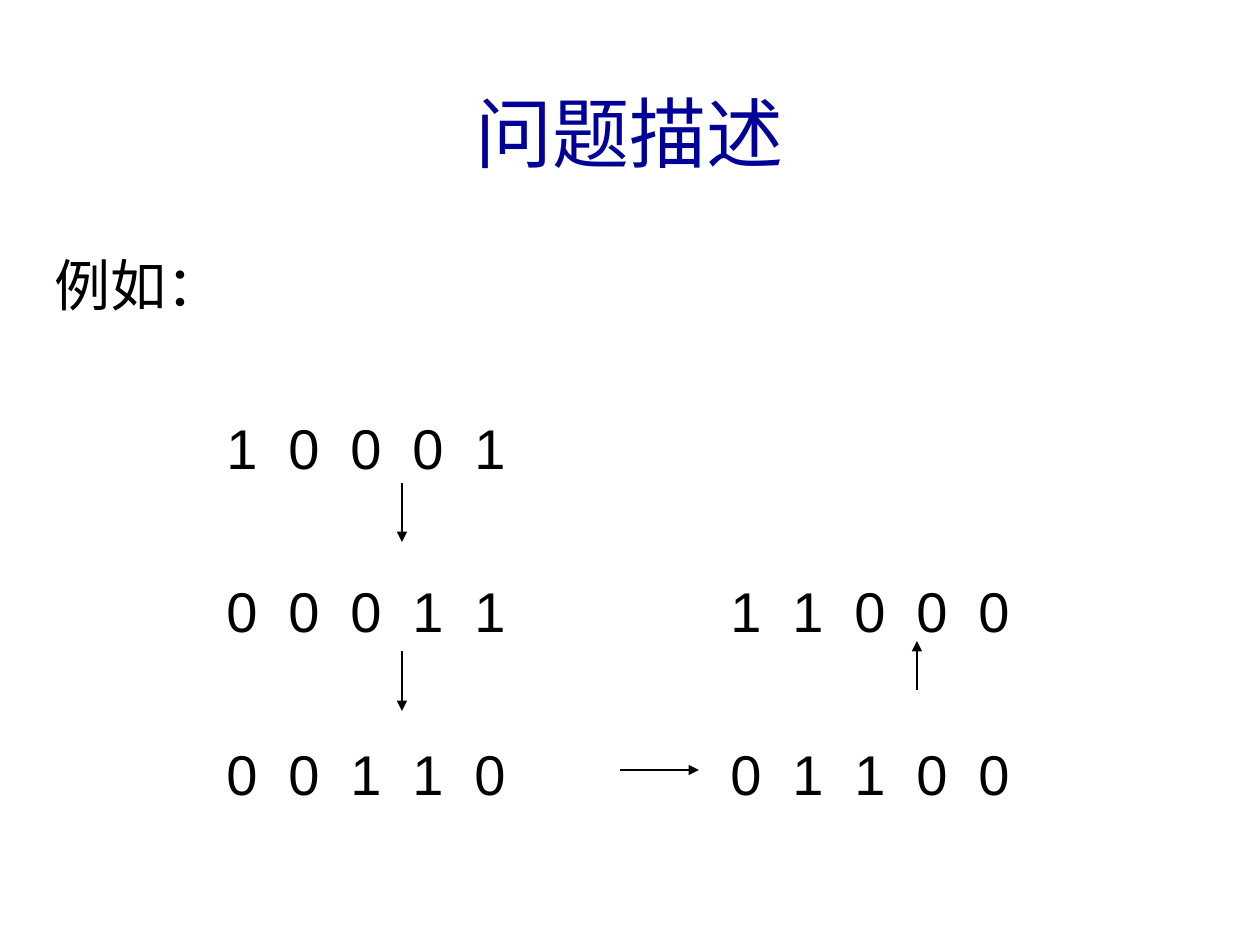
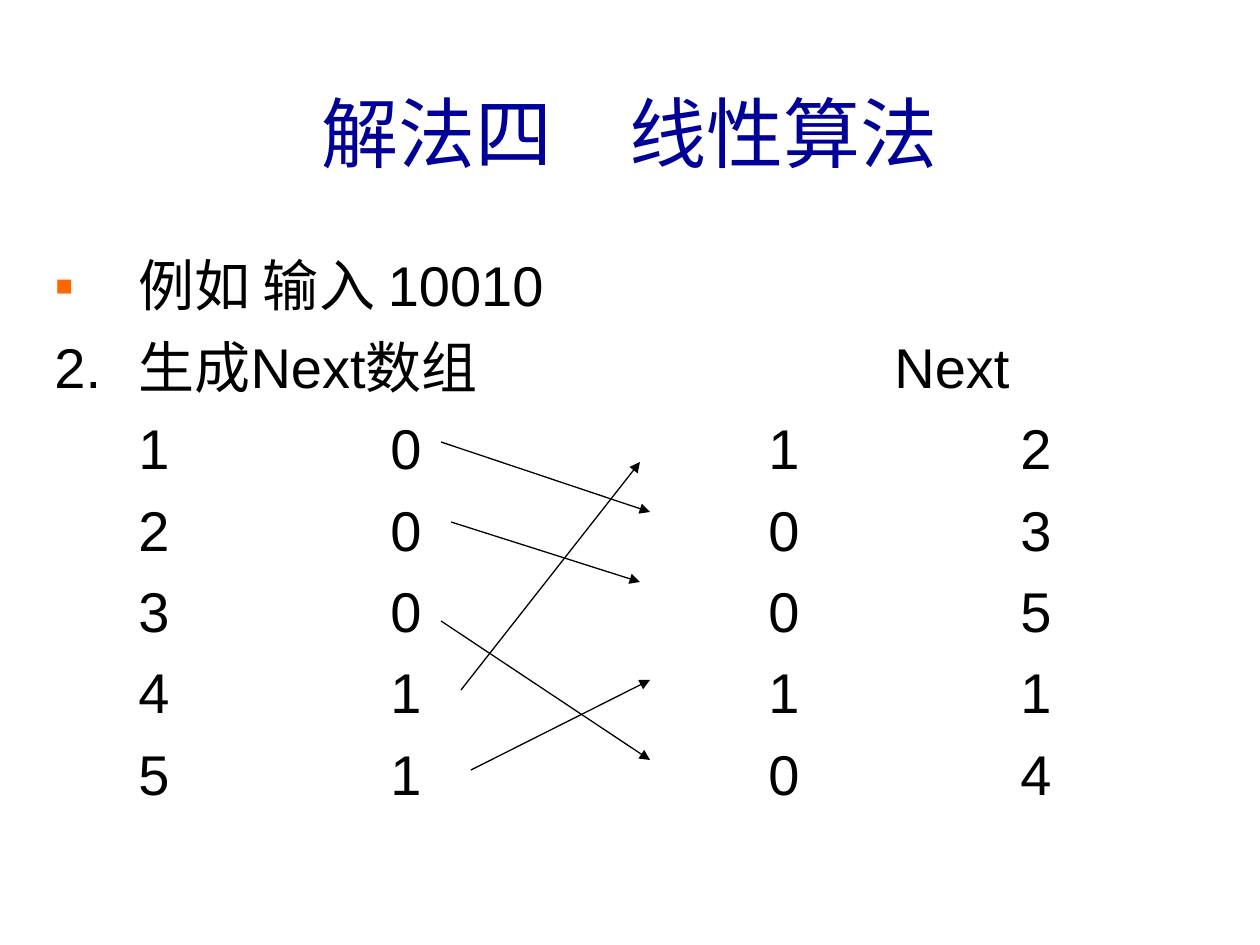
from lxml import etree
from pptx import Presentation
from pptx import util as u
from pptx.dml.color import RGBColor
from pptx.enum import shapes, text
from pptx.oxml.ns import qn

EMU_PER_PX = u.Inches(1) / 126
FONT, NAVY, BLACK, ORANGE = "Arial", "000099", "000000", "FF6600"
TITLE_BOX = (42, 53, 1176, 157)
BODY_BOX = (42, 242, 1176, 588)
LINE_PT, GAP_PT = 40, 6.5
SKIP_PT = LINE_PT + 2 * GAP_PT
DIGIT_STEP = 62
LEFT_GROUP, RIGHT_GROUP = 172, 676
HANG = 84
TABLE_TABS = (HANG, 336, 714, 966)
HEADING_TABS = (HANG, 840)


def px(length):
    """Turn px into EMU."""
    return u.Emu(round(length * EMU_PER_PX))


def rgb(value):
    """Turn a hex string into a colour."""
    return RGBColor.from_string(value)


def add_child(parent, tag, **attributes):
    """Append a DrawingML element and return it."""
    child = etree.SubElement(parent, qn(tag))
    for name, value in attributes.items():
        child.set(name, str(value))
    return child


def add_span(para, words, size, colour):
    """Add one formatted run."""
    span = para.add_run()
    span.text = words
    span.font.name = FONT
    span.font.size = u.Pt(size)
    span.font.color.rgb = rgb(colour)


def set_frame(frame, anchor):
    """Give a text frame its wrap, margins and anchor."""
    frame.word_wrap = True
    frame.auto_size = text.MSO_AUTO_SIZE.NONE
    frame.vertical_anchor = anchor
    frame.margin_left = frame.margin_right = u.Inches(0.1)
    frame.margin_top = frame.margin_bottom = u.Inches(0.05)


def add_page(deck, title):
    """Add a slide with the shared title style."""
    page = deck.slides.add_slide(deck.slide_layouts[5])
    box = page.shapes.title
    box.left, box.top, box.width, box.height = map(px, TITLE_BOX)
    set_frame(box.text_frame, text.MSO_ANCHOR.MIDDLE)
    para = box.text_frame.paragraphs[0]
    para.alignment = text.PP_ALIGN.CENTER
    add_span(para, title, 44, NAVY)
    return page


def add_bullet(para):
    """Give a paragraph a hanging square bullet."""
    props = para._p.get_or_add_pPr()
    props.set("marL", str(px(HANG)))
    props.set("indent", str(-px(HANG)))
    add_child(add_child(props, "a:buClr"), "a:srgbClr", val=ORANGE)
    add_child(props, "a:buFont", typeface=FONT)
    add_child(props, "a:buChar", char="▪")


def add_body(page, rows, bulleted=False):
    """Add the body from rows of (words, tab stops, space before)."""
    box = page.shapes.add_textbox(*map(px, BODY_BOX))
    frame = box.text_frame
    set_frame(frame, text.MSO_ANCHOR.TOP)
    for index, (words, tabs, gap) in enumerate(rows):
        para = frame.add_paragraph() if index else frame.paragraphs[0]
        if bulleted and index == 0:
            add_bullet(para)
        if tabs:
            stops = add_child(para._p.get_or_add_pPr(), "a:tabLst")
            for stop in tabs:
                add_child(stops, "a:tab", pos=px(stop), algn="l")
        para.line_spacing = u.Pt(LINE_PT)
        para.space_before = u.Pt(gap if index else 0)
        add_span(para, words, 32, BLACK)


def add_arrows(page, arrows):
    """Draw thin arrows from (x1, y1, x2, y2) in px."""
    for ends in arrows:
        arrow = page.shapes.add_connector(
            shapes.MSO_CONNECTOR.STRAIGHT, *map(px, ends))
        arrow.line.color.rgb = rgb(BLACK)
        arrow.line.width = u.Pt(0.75)
        add_child(arrow.line._get_or_add_ln(), "a:tailEnd", type="triangle")
        add_child(arrow._element.spPr, "a:effectLst")


def build_problem(deck):
    """Build the slide that rotates a binary string."""
    page = add_page(deck, "问题描述")
    tabs = [start + DIGIT_STEP * i
            for start in (LEFT_GROUP, RIGHT_GROUP) for i in range(5)]
    rows = [("例如：", (), 0)]
    for digits in ("10001", "0001111000", "0011001100"):
        rows.append(("\t" + "\t".join(digits), tabs, SKIP_PT))
    add_body(page, rows)
    add_arrows(page, [(402, 651, 402, 711), (402, 483, 402, 542),
                      (620, 770, 699, 770), (917, 690, 917, 641)])


def build_linear(deck):
    """Build the slide that derives the Next array."""
    page = add_page(deck, "解法四　线性算法")
    rows = [("例如\u2002输入 10010".replace("\u2002", " "), (), 0),
            ("2.\t生成Next数组\tNext", HEADING_TABS, GAP_PT)]
    for number, cells in enumerate(zip("00011", "10010", "23514"), 1):
        rows.append((f"\t{number}\t" + "\t".join(cells), TABLE_TABS, GAP_PT))
    add_body(page, rows, bulleted=True)
    add_arrows(page, [(441, 442, 650, 512), (451, 522, 640, 582),
                      (441, 621, 650, 760), (461, 690, 640, 462),
                      (471, 770, 650, 680)])


def main():
    """Build and save the deck."""
    deck = Presentation()
    deck.slide_width, deck.slide_height = u.Inches(10), u.Inches(7.5)
    build_problem(deck)
    build_linear(deck)
    deck.save("out.pptx")


if __name__ == "__main__":
    main()
